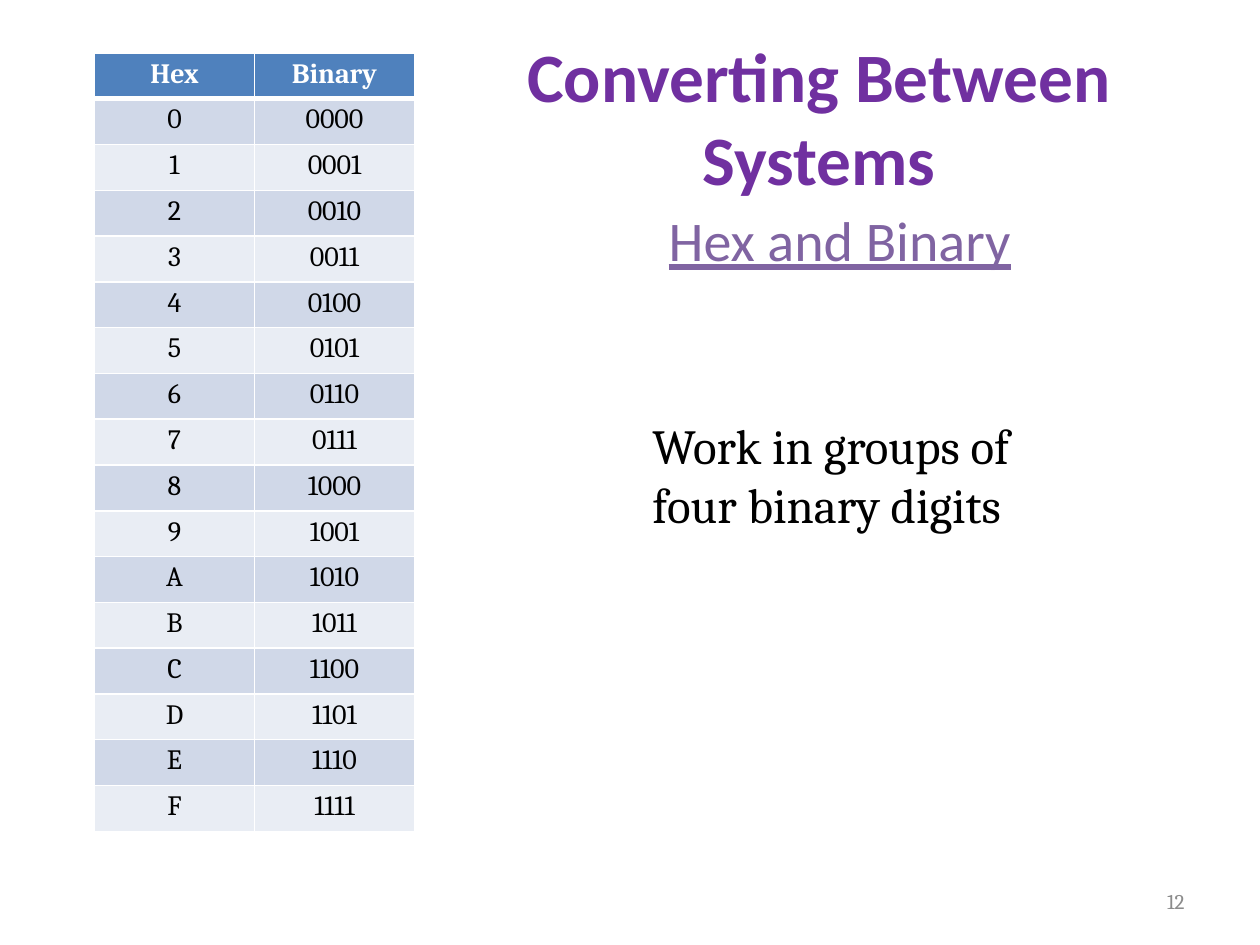
from lxml import etree
from pptx import Presentation
from pptx import util as u
from pptx.dml.color import RGBColor
from pptx.enum import text
from pptx.oxml import ns

COLORS = {
    "title": "7030A0",
    "subtitle": "8064A2",
    "body": "000000",
    "number": "8C8C8C",
    "header": "4F81BD",
    "band_dark": "D0D8E8",
    "band_light": "E9EDF4",
    "white": "FFFFFF",
}


def style_paragraph(paragraph, font, size, color, align=text.PP_ALIGN.LEFT, bold=False):
    """Set the font and alignment of a whole paragraph."""
    paragraph.alignment = align
    paragraph.font.name = font
    paragraph.font.size = u.Pt(size)
    paragraph.font.bold = bold
    paragraph.font.color.rgb = RGBColor.from_string(COLORS[color])


def place(shape, left, top, width, height):
    """Move and size a shape, in inches."""
    shape.left, shape.top = u.Inches(left), u.Inches(top)
    shape.width, shape.height = u.Inches(width), u.Inches(height)


def fill_title(slide):
    """Fill the title placeholder."""
    title = slide.shapes.title
    place(title, 3.5, 0.3, 6, 1.25)
    frame = title.text_frame
    frame.text = "Converting Between Systems"
    frame.auto_size = text.MSO_AUTO_SIZE.NONE
    frame.vertical_anchor = text.MSO_ANCHOR.MIDDLE
    style_paragraph(frame.paragraphs[0], "Calibri", 39.6, "title",
                    text.PP_ALIGN.CENTER, bold=True)


def fill_body(slide):
    """Fill the body placeholder with one underlined line without a bullet."""
    body = slide.placeholders[1]
    place(body, 4.75, 1.58, 3.83, 4.95)
    body.text_frame.text = "Hex and Binary"
    body.text_frame.auto_size = text.MSO_AUTO_SIZE.NONE
    paragraph = body.text_frame.paragraphs[0]
    style_paragraph(paragraph, "Calibri", 32, "subtitle", text.PP_ALIGN.CENTER)
    paragraph.font.underline = True
    properties = paragraph._p.get_or_add_pPr()
    properties.set("marL", "0")
    properties.set("indent", "0")
    bullet = etree.Element(ns.qn("a:buNone"))
    properties.insert_element_before(bullet, "a:tabLst", "a:defRPr", "a:extLst")


def add_text(slide, box, lines, size, color, align=text.PP_ALIGN.LEFT,
             anchor=text.MSO_ANCHOR.TOP, wrap=True):
    """Add a text box with one paragraph for each line."""
    frame = slide.shapes.add_textbox(*map(u.Inches, box)).text_frame
    frame.word_wrap = wrap
    frame.vertical_anchor = anchor
    frame.text = "\n".join(lines)
    for paragraph in frame.paragraphs:
        style_paragraph(paragraph, "Cambria", size, color, align)


def add_borders(cell, bottom_width):
    """Give a cell white borders, with its own width at the bottom."""
    properties = cell._tc.get_or_add_tcPr()
    for side, width in (("L", 1), ("R", 1), ("T", 1), ("B", bottom_width)):
        line = etree.SubElement(properties, ns.qn(f"a:ln{side}"), w=str(u.Pt(width)))
        fill = etree.SubElement(line, ns.qn("a:solidFill"))
        etree.SubElement(fill, ns.qn("a:srgbClr"), val=COLORS["white"])


def format_cell(cell, value, fill, color, bold, bottom_width):
    """Write a centred value in a cell and set its look."""
    cell.text = value
    cell.margin_left = cell.margin_right = u.Inches(0.09)
    cell.margin_top = cell.margin_bottom = u.Inches(0.04)
    add_borders(cell, bottom_width)
    cell.fill.solid()
    cell.fill.fore_color.rgb = RGBColor.from_string(COLORS[fill])
    style_paragraph(cell.text_frame.paragraphs[0], "Cambria", 16, color,
                    text.PP_ALIGN.CENTER, bold)


def add_hex_table(slide):
    """Add the table of the sixteen hex digits and their binary values."""
    rows = [("Hex", "Binary")] + [(f"{n:X}", f"{n:04b}") for n in range(16)]
    box = map(u.Inches, (0.75, 0.42, 2.54, 6.18))
    table = slide.shapes.add_table(len(rows), 2, *box).table
    for row, values in enumerate(rows):
        if row == 0:
            look = ("header", "white", True, 3)
        else:
            look = ("band_dark" if row % 2 else "band_light", "body", False, 1)
        for column, value in enumerate(values):
            format_cell(table.cell(row, column), value, *look)


def main():
    """Build the slide and save it."""
    presentation = Presentation()
    presentation.slide_width = u.Inches(10)
    presentation.slide_height = u.Inches(7.5)
    slide = presentation.slides.add_slide(presentation.slide_layouts[1])
    fill_title(slide)
    fill_body(slide)
    add_text(slide, (7.17, 6.95, 2.33, 0.4), ["12"], 12, "number",
             text.PP_ALIGN.RIGHT, text.MSO_ANCHOR.MIDDLE)
    add_text(slide, (5.08, 3.25, 3.28, 1.04),
             ["Work in groups of", "four binary digits"], 28, "body", wrap=False)
    add_hex_table(slide)
    presentation.save("out.pptx")


main()
